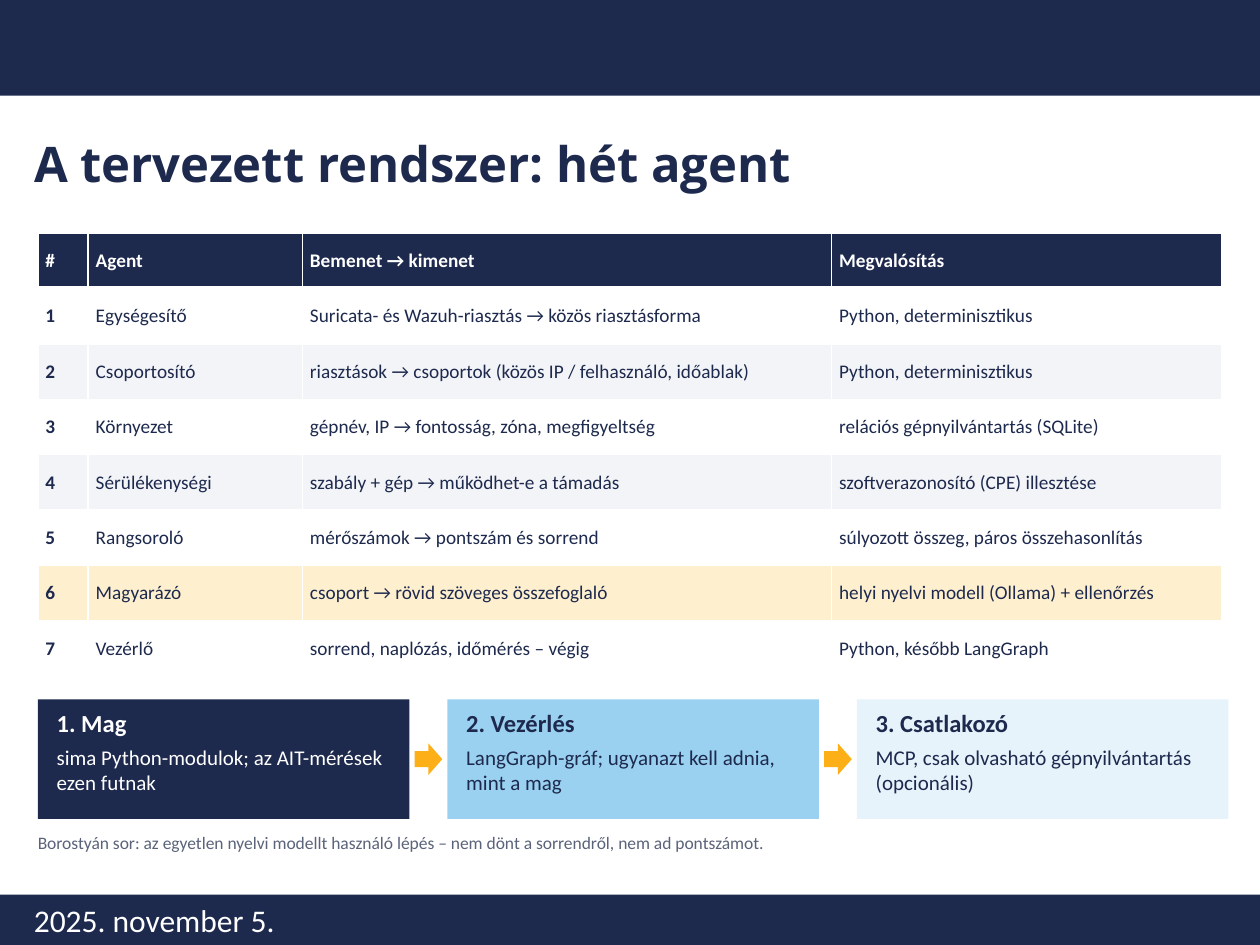
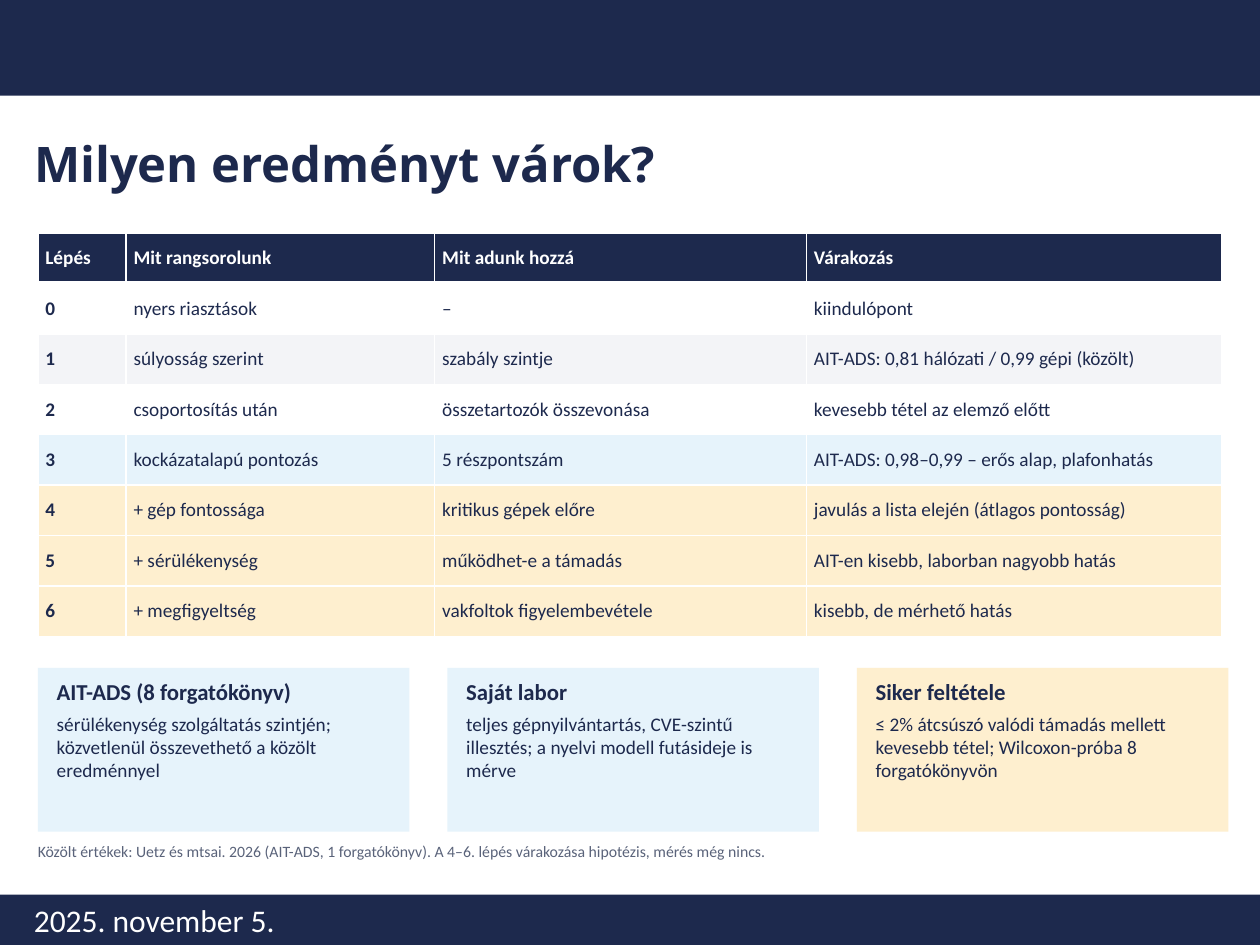
"""Builds two slides on a seven-agent system and its expected results."""
from lxml.etree import SubElement
from pptx import Presentation
from pptx.dml.color import RGBColor
from pptx.enum.shapes import MSO_SHAPE
from pptx.enum.text import MSO_ANCHOR, MSO_AUTO_SIZE, PP_ALIGN
from pptx.oxml.ns import qn
from pptx.util import Inches, Pt

NAVY, WHITE, AMBER = "1D294D", "FFFFFF", "FCAF17"
SKY, PALE_BLUE, PALE_AMBER = "9AD1F0", "E6F3FB", "FEEFCF"
STRIPE, GREY = "F3F4F7", "5A637A"

SLIDE_WIDTH, SLIDE_HEIGHT = 10, 7.5
TITLE_ONLY_LAYOUT = 5
TOP_BAND_HEIGHT, FOOTER_HEIGHT = 0.76, 0.4
FOOTER_TOP = SLIDE_HEIGHT - FOOTER_HEIGHT
BAND_TEXT_LEFT = 0.17
CONTENT_LEFT, CONTENT_WIDTH = 0.3, 9.4
TABLE_TOP = 1.85
CARD_WIDTH, CARD_GAP, CARD_PADDING = 2.95, 0.3, 0.15
ARROW_WIDTH, ARROW_HEIGHT = 0.22, 0.25

TITLE_BOX = {"left": Inches(BAND_TEXT_LEFT), "top": Inches(0.92),
             "width": Inches(9.6), "height": Inches(0.66)}
TITLE_FRAME = {"vertical_anchor": MSO_ANCHOR.BOTTOM, "auto_size": MSO_AUTO_SIZE.NONE,
               "word_wrap": True}
TITLE_PARAGRAPH = {"alignment": PP_ALIGN.LEFT, "line_spacing": 0.9}
NO_MARGINS = {"margin_left": 0, "margin_top": 0, "margin_right": 0, "margin_bottom": 0}
CELL_FORMAT = {"margin_left": Inches(0.06), "margin_right": Inches(0.06),
               "margin_top": Inches(0.03), "margin_bottom": Inches(0.03),
               "vertical_anchor": MSO_ANCHOR.MIDDLE}

AGENT_ROWS = [
    ("#", "Agent", "Bemenet → kimenet", "Megvalósítás"),
    ("1", "Egységesítő", "Suricata- és Wazuh-riasztás → közös riasztásforma", "Python, determinisztikus"),
    ("2", "Csoportosító", "riasztások → csoportok (közös IP / felhasználó, időablak)",
     "Python, determinisztikus"),
    ("3", "Környezet", "gépnév, IP → fontosság, zóna, megfigyeltség", "relációs gépnyilvántartás (SQLite)"),
    ("4", "Sérülékenységi", "szabály + gép → működhet-e a támadás", "szoftverazonosító (CPE) illesztése"),
    ("5", "Rangsoroló", "mérőszámok → pontszám és sorrend", "súlyozott összeg, páros összehasonlítás"),
    ("6", "Magyarázó", "csoport → rövid szöveges összefoglaló", "helyi nyelvi modell (Ollama) + ellenőrzés"),
    ("7", "Vezérlő", "sorrend, naplózás, időmérés – végig", "Python, később LangGraph"),
]
AGENT_HIGHLIGHTS = {"6": PALE_AMBER}
STAGE_CARDS = [
    ("1. Mag", "sima Python-modulok; az AIT-mérések ezen futnak", NAVY, WHITE),
    ("2. Vezérlés", "LangGraph-gráf; ugyanazt kell adnia, mint a mag", SKY, NAVY),
    ("3. Csatlakozó", "MCP, csak olvasható gépnyilvántartás (opcionális)", PALE_BLUE, NAVY),
]
EXPECTATION_ROWS = [
    ("Lépés", "Mit rangsorolunk", "Mit adunk hozzá", "Várakozás"),
    ("0", "nyers riasztások", "–", "kiindulópont"),
    ("1", "súlyosság szerint", "szabály szintje", "AIT-ADS: 0,81 hálózati / 0,99 gépi (közölt)"),
    ("2", "csoportosítás után", "összetartozók összevonása", "kevesebb tétel az elemző előtt"),
    ("3", "kockázatalapú pontozás", "5 részpontszám", "AIT-ADS: 0,98–0,99 – erős alap, plafonhatás"),
    ("4", "+ gép fontossága", "kritikus gépek előre", "javulás a lista elején (átlagos pontosság)"),
    ("5", "+ sérülékenység", "működhet-e a támadás", "AIT-en kisebb, laborban nagyobb hatás"),
    ("6", "+ megfigyeltség", "vakfoltok figyelembevétele", "kisebb, de mérhető hatás"),
]
EXPECTATION_HIGHLIGHTS = {"3": PALE_BLUE, "4": PALE_AMBER, "5": PALE_AMBER, "6": PALE_AMBER}
EVALUATION_CARDS = [
    ("AIT-ADS (8 forgatókönyv)",
     "sérülékenység szolgáltatás szintjén; közvetlenül összevethető a közölt eredménnyel", PALE_BLUE, NAVY),
    ("Saját labor",
     "teljes gépnyilvántartás, CVE-szintű illesztés; a nyelvi modell futásideje is mérve", PALE_BLUE, NAVY),
    ("Siker feltétele",
     "≤ 2% átcsúszó valódi támadás mellett kevesebb tétel; Wilcoxon-próba 8 forgatókönyvön",
     PALE_AMBER, NAVY),
]


def color(hex_value):
    """Turn a hex string into a colour."""
    return RGBColor.from_string(hex_value)


def apply_format(target, values):
    """Set each attribute named in the dict."""
    for name, value in values.items():
        setattr(target, name, value)


def fill_solid(target, hex_value):
    """Give a shape or a cell a plain fill."""
    target.fill.solid()
    target.fill.fore_color.rgb = color(hex_value)


def set_bottom_border(cell, hex_value, width):
    """Draw the bottom border of a cell, placed before its fill."""
    properties = cell._tc.get_or_add_tcPr()
    line = SubElement(properties, qn("a:lnB"), w=str(Pt(width)))
    solid_fill = SubElement(line, qn("a:solidFill"))
    SubElement(solid_fill, qn("a:srgbClr"), val=hex_value)
    properties.insert(0, line)


class Deck:
    """Holds the shared style and the slide being built."""

    def __init__(self):
        """Open an empty presentation of the right size."""
        self.presentation = Presentation()
        self.presentation.slide_width = Inches(SLIDE_WIDTH)
        self.presentation.slide_height = Inches(SLIDE_HEIGHT)
        self.slide = None

    def start_slide(self, title):
        """Add a slide with its bands, date and title."""
        layout = self.presentation.slide_layouts[TITLE_ONLY_LAYOUT]
        self.slide = self.presentation.slides.add_slide(layout)
        self.shape(0, 0, SLIDE_WIDTH, TOP_BAND_HEIGHT, NAVY)
        self.shape(0, FOOTER_TOP, SLIDE_WIDTH, FOOTER_HEIGHT, NAVY)
        self.text(BAND_TEXT_LEFT, FOOTER_TOP, 2.25, FOOTER_HEIGHT,
                  [("2025. november 5.", 18, WHITE, False)], {})
        self.title(title)

    def title(self, text):
        """Move, fill and format the title placeholder."""
        placeholder = self.slide.shapes.title
        placeholder.text_frame.text = text
        paragraph = placeholder.text_frame.paragraphs[0]
        apply_format(placeholder, TITLE_BOX)
        apply_format(placeholder.text_frame, TITLE_FRAME)
        apply_format(paragraph, TITLE_PARAGRAPH)
        self.font(paragraph, 28, NAVY, True, "Open Sans")

    def font(self, paragraph, size, hex_value, bold, name="Calibri"):
        """Format the font of a paragraph."""
        apply_format(paragraph.font, {"name": name, "size": Pt(size), "bold": bold})
        paragraph.font.color.rgb = color(hex_value)

    def shape(self, left, top, width, height, fill, kind=MSO_SHAPE.RECTANGLE):
        """Add a plain filled shape."""
        shape = self.slide.shapes.add_shape(kind, Inches(left), Inches(top), Inches(width), Inches(height))
        shape.shadow.inherit = False
        fill_solid(shape, fill)
        shape.line.fill.background()

    def text(self, left, top, width, height, lines, frame_format=NO_MARGINS):
        """Add a text box with one paragraph for each (text, size, colour, bold)."""
        box = self.slide.shapes.add_textbox(Inches(left), Inches(top), Inches(width), Inches(height))
        frame = box.text_frame
        frame.word_wrap = True
        apply_format(frame, frame_format)
        for index, (text, size, hex_value, bold) in enumerate(lines):
            paragraph = frame.add_paragraph() if index else frame.paragraphs[0]
            paragraph.text = text
            self.font(paragraph, size, hex_value, bold)
        for paragraph in frame.paragraphs[:-1]:
            paragraph.space_after = Pt(4)

    def table(self, rows, column_widths, row_height, highlights):
        """Add a striped table; highlights maps first-column labels to row fills."""
        table = self.slide.shapes.add_table(
            len(rows), len(column_widths), Inches(CONTENT_LEFT), Inches(TABLE_TOP),
            Inches(CONTENT_WIDTH), Inches(row_height * len(rows))).table
        table.horz_banding = False
        for column, width in zip(table.columns, column_widths):
            column.width = Inches(width)

        header, *body = rows
        self.table_row(table, 0, header, NAVY, WHITE, bold_columns=len(header))
        for cell in table.rows[0].cells:
            set_bottom_border(cell, WHITE, 3)
        for row_index, values in enumerate(body, start=1):
            stripe = STRIPE if row_index % 2 == 0 else WHITE
            fill = highlights.get(values[0], stripe)
            self.table_row(table, row_index, values, fill, NAVY, bold_columns=1)

    def table_row(self, table, row_index, values, fill, text_color, bold_columns):
        """Fill one table row, with its first columns in bold."""
        for column_index, value in enumerate(values):
            cell = table.cell(row_index, column_index)
            cell.text = value
            apply_format(cell, CELL_FORMAT)
            fill_solid(cell, fill)
            self.font(cell.text_frame.paragraphs[0], 11, text_color, column_index < bold_columns)

    def cards(self, cards, top, height, text_inset, heading_size):
        """Add a row of equally spaced cards."""
        for index, (heading, body, fill, text_color) in enumerate(cards):
            left = CONTENT_LEFT + index * (CARD_WIDTH + CARD_GAP)
            self.shape(left, top, CARD_WIDTH, height, fill)
            self.text(left + CARD_PADDING, top + text_inset,
                      CARD_WIDTH - 2 * CARD_PADDING, height - 2 * text_inset,
                      [(heading, heading_size, text_color, True),
                       (body, heading_size - 2, text_color, False)])

    def card_arrows(self, card_count, card_top, card_height):
        """Centre an arrow in each gap between cards."""
        top = card_top + (card_height - ARROW_HEIGHT) / 2
        for index in range(1, card_count):
            gap_left = CONTENT_LEFT + index * (CARD_WIDTH + CARD_GAP) - CARD_GAP
            left = gap_left + (CARD_GAP - ARROW_WIDTH) / 2
            self.shape(left, top, ARROW_WIDTH, ARROW_HEIGHT, AMBER, MSO_SHAPE.RIGHT_ARROW)

    def note(self, text, top, size):
        """Add the grey note under the cards."""
        self.text(CONTENT_LEFT, top, CONTENT_WIDTH, 0.28, [(text, size, GREY, False)])


def build_agents_slide(deck):
    """Show the seven agents and the three build stages."""
    card_top, card_height = 5.55, 0.95
    deck.start_slide("A tervezett rendszer: hét agent")
    deck.table(AGENT_ROWS, (0.4, 1.7, 4.2, 3.1), 0.44, AGENT_HIGHLIGHTS)
    deck.cards(STAGE_CARDS, card_top, card_height, text_inset=0.07, heading_size=14)
    deck.card_arrows(len(STAGE_CARDS), card_top, card_height)
    deck.note("Borostyán sor: az egyetlen nyelvi modellt használó lépés – nem dönt a sorrendről, "
              "nem ad pontszámot.", top=6.6, size=10)


def build_expectations_slide(deck):
    """Show the expected result of each step and how it is judged."""
    deck.start_slide("Milyen eredményt várok?")
    deck.table(EXPECTATION_ROWS, (0.7, 2.45, 2.95, 3.3), 0.4, EXPECTATION_HIGHLIGHTS)
    deck.cards(EVALUATION_CARDS, top=5.3, height=1.3, text_inset=0.08, heading_size=13)
    deck.note("Közölt értékek: Uetz és mtsai. 2026 (AIT-ADS, 1 forgatókönyv). "
              "A 4–6. lépés várakozása hipotézis, mérés még nincs.", top=6.68, size=9)


def main():
    """Build both slides and save them."""
    deck = Deck()
    build_agents_slide(deck)
    build_expectations_slide(deck)
    deck.presentation.save("out.pptx")


if __name__ == "__main__":
    main()
